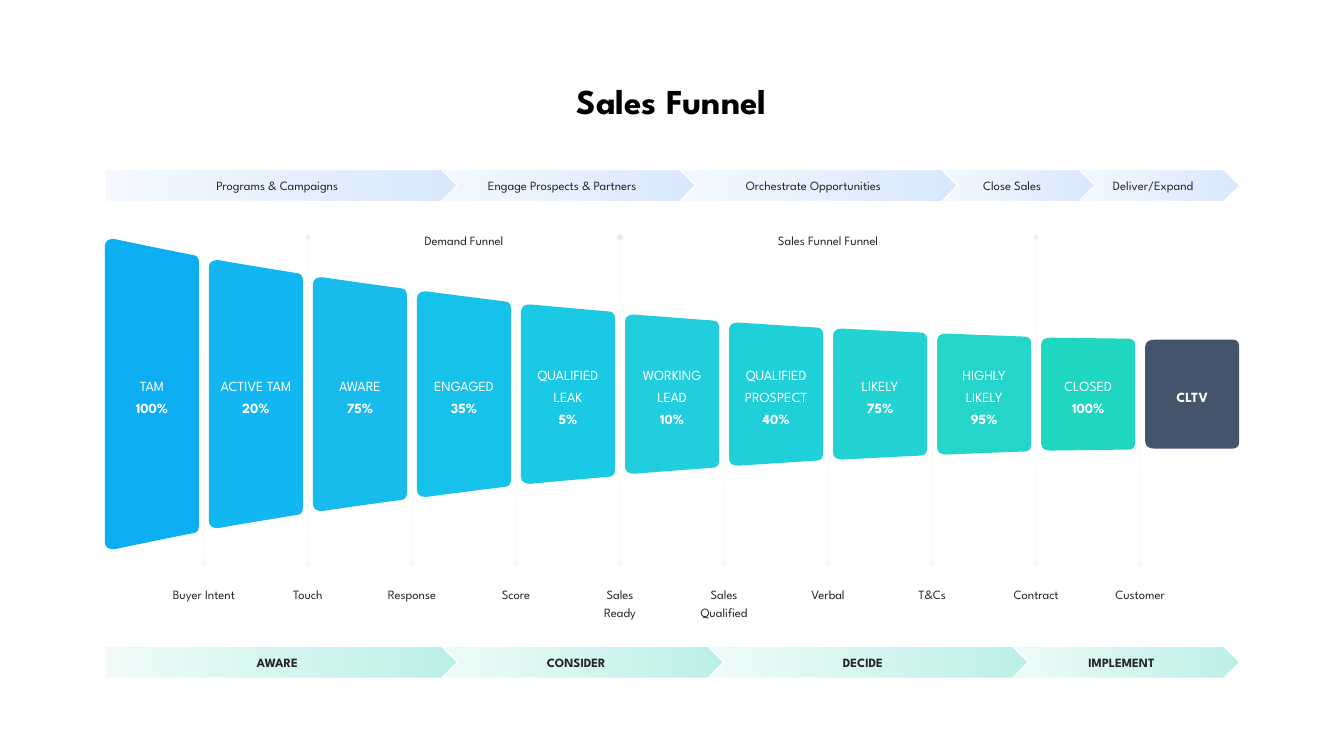
from dataclasses import dataclass

from lxml.etree import SubElement
from pptx import Presentation
from pptx.dml.color import RGBColor
from pptx.enum.shapes import MSO_CONNECTOR, MSO_SHAPE
from pptx.enum.text import MSO_ANCHOR, PP_ALIGN
from pptx.oxml.ns import qn
from pptx.util import Inches, Pt

# Grid: eleven funnel columns, rows of a tenth of an inch
SLIDE_WIDTH, SLIDE_HEIGHT = 13.33, 7.5
LEFT, RIGHT, GAP = 1.04, 12.29, 0.1
COLUMN = (RIGHT - LEFT + GAP) / 11
ROW = SLIDE_HEIGHT / 75
MIDDLE_ROW = 39.1
FONT, INK, WHITE, SLATE = "League Spartan", "262626", "FFFFFF", "44546A"


@dataclass
class Stage:
    name: str
    share: str
    left_top: float  # rows
    right_top: float
    color: str


@dataclass
class Arrow:
    name: str
    start: float  # columns
    end: float


@dataclass
class Milestone:
    name: str
    width: float = 0.9  # columns


@dataclass
class Bracket:
    name: str
    start: int  # columns
    end: int
    arm: float


STAGES = [
    Stage("TAM", "100%", 23.7, 25.3, "0DADF1"),
    Stage("ACTIVE TAM", "20%", 25.8, 27.1, "12B6F0"),
    Stage("AWARE", "75%", 27.5, 28.6, "17BCED"),
    Stage("ENGAGED", "35%", 28.9, 29.9, "16C2EA"),
    Stage("QUALIFIED LEAK", "5%", 30.2, 30.9, "1AC9E4"),
    Stage("WORKING LEAD", "10%", 31.2, 31.8, "22CDDE"),
    Stage("QUALIFIED PROSPECT", "40%", 32, 32.5, "1FD0D9"),
    Stage("LIKELY", "75%", 32.6, 33, "23D2D3"),
    Stage("HIGHLY LIKELY", "95%", 33.1, 33.4, "26D5C9"),
    Stage("CLOSED", "100%", 33.5, 33.6, "1FD6C0"),
    Stage("", "CLTV", 33.7, 33.7, SLATE),
]
MILESTONES = [
    Milestone("Buyer Intent", 0.96), Milestone("Touch"), Milestone("Response"),
    Milestone("Score"), Milestone("Sales Ready", 0.78), Milestone("Sales Qualified"),
    Milestone("Verbal"), Milestone("T&Cs"), Milestone("Contract"), Milestone("Customer"),
]
BRACKETS = [Bracket("Demand Funnel", 2, 5, 0.62), Bracket("Sales Funnel Funnel", 5, 9, 0.82)]
ACTIVITIES = [
    Arrow("Programs & Campaigns", 0, 3.39),
    Arrow("Engage Prospects & Partners", 3.19, 5.68),
    Arrow("Orchestrate Opportunities", 5.5, 8.2),
    Arrow("Close Sales", 8, 9.52),
    Arrow("Deliver/Expand", 9.32, 10.91),
]
PHASES = [
    Arrow("AWARE", 0, 3.39), Arrow("CONSIDER", 3.19, 5.95),
    Arrow("DECIDE", 5.77, 8.88), Arrow("IMPLEMENT", 8.71, 10.91),
]


def color_of(code: str) -> RGBColor:
    return RGBColor.from_string(code)


def column(number: float) -> int:
    return Inches(LEFT + number * COLUMN)


def divider(number: float) -> int:
    return column(number) - Inches(GAP / 2)


def row(number: float) -> int:
    return Inches(number * ROW)


def set_opacity(shape, percent: int) -> None:
    """Fade the first colour of a shape."""
    color = next(shape.element.iter(qn("a:srgbClr")))
    SubElement(color, qn("a:alpha")).set("val", str(percent * 1000))


def write(shape, lines: list[str], size: float, color: str, spacing: float | None = None,
          bold_last: bool = False) -> None:
    frame = shape.text_frame
    frame.word_wrap = True
    frame.text = "\n".join(lines)
    for para in frame.paragraphs:
        para.alignment = PP_ALIGN.CENTER
        if spacing:
            para.line_spacing = Pt(spacing)
        for span in para.runs:
            span.font.name, span.font.size = FONT, Pt(size)
            span.font.color.rgb = color_of(color)
            span.font.bold = bold_last and para.text == lines[-1]


def add_label(page, text: str, center: int, top: float, width: float) -> None:
    span = Inches(width * COLUMN)
    box = page.shapes.add_textbox(center - span // 2, row(top), span, row(2.6))
    write(box, [text], 9, INK, spacing=13)


def add_dotted_end(page, x1: int, y1: int, x2: int, y2: int) -> None:
    line = page.shapes.add_connector(MSO_CONNECTOR.STRAIGHT, x1, y1, x2, y2)
    line.line.color.rgb = color_of(SLATE)
    line.line.width = Pt(0.5)
    set_opacity(line, 4)
    outline = next(line.element.iter(qn("a:ln")))
    SubElement(outline, qn("a:tailEnd"), {"type": "oval", "w": "sm", "len": "sm"})
    SubElement(line.element.spPr, qn("a:effectLst"))


def build_panel(page, x: float, high: float, low: float):
    """A tapering panel with rounded corners, mirrored about the middle row."""
    right, middle = x + COLUMN - GAP, MIDDLE_ROW * ROW
    slope = (low - high) / 3
    top = [(x, high + 0.07), (x, high + 0.02), (x + 0.04, high), (x + 0.09, high),
           (x + 0.34, high + slope), (x + 0.6, high + 2 * slope), (right - 0.06, low),
           (right - 0.02, low), (right, low + 0.03), (right, low + 0.07)]
    bottom = [(px, 2 * middle - py) for px, py in reversed(top)]
    frame = [(x, high), (right, high), (right, 2 * middle - high), (x, 2 * middle - high)]
    corners = [(Inches(px), Inches(py)) for px, py in frame]
    builder = page.shapes.build_freeform(*corners[0])
    builder.add_line_segments(corners[1:], close=True)
    panel = builder.convert_to_shape()
    track = next(panel.element.iter(qn("a:path")))
    for child in list(track):
        track.remove(child)
    for side, first in ((top, "a:moveTo"), (bottom, "a:lnTo")):
        moves = [(first, side[:1])]
        moves += [("a:cubicBezTo", side[start:start + 3]) for start in (1, 4, 7)]
        for tag, points in moves:
            move = SubElement(track, qn(tag))
            for px, py in points:
                SubElement(move, qn("a:pt"), {"x": str(Inches(px) - panel.left),
                                              "y": str(Inches(py) - panel.top)})
    SubElement(track, qn("a:close"))
    return panel


def add_stage(page, stage: Stage, index: int) -> None:
    panel = build_panel(page, LEFT + index * COLUMN, stage.left_top * ROW, stage.right_top * ROW)
    panel.shadow.inherit = False
    panel.fill.solid()
    panel.fill.fore_color.rgb = color_of(stage.color)
    panel.line.fill.background()
    frame = panel.text_frame
    frame.vertical_anchor = MSO_ANCHOR.MIDDLE
    frame.margin_left = frame.margin_right = Inches(0.08)
    write(panel, [text for text in (stage.name, stage.share) if text], 10, WHITE, 16, True)


def add_arrows(page, arrows: list[Arrow], top: float, color: str, fade: int, bold: bool) -> None:
    for arrow in reversed(arrows):
        left = column(arrow.start)
        shape = page.shapes.add_shape(MSO_SHAPE.PENTAGON, left, row(top),
                                      column(arrow.end) - left, row(3.2))
        shape.shadow.inherit = False
        shape.fill.gradient()
        shape.fill.gradient_angle = 0
        for stop, position in zip(shape.fill.gradient_stops, (0, 1)):
            stop.color.rgb = color_of(color)
            stop.position = position
        set_opacity(shape, fade)
        shape.line.color.rgb = color_of(WHITE)
        shape.line.width = Pt(1)
        shape.text_frame.vertical_anchor = MSO_ANCHOR.MIDDLE
        write(shape, [arrow.name], 9, INK, bold_last=bold)


def main() -> None:
    deck = Presentation()
    deck.slide_width, deck.slide_height = Inches(SLIDE_WIDTH), Inches(SLIDE_HEIGHT)
    page = deck.slides.add_slide(deck.slide_layouts[6])

    # Funnel
    for index, stage in enumerate(STAGES):
        add_stage(page, stage, index)

    # Milestones between the stages
    for number, milestone in enumerate(MILESTONES, start=1):
        x = divider(number)
        add_dotted_end(page, x, row(35), x, row(55.9))
        add_label(page, milestone.name, x, 57.4, milestone.width)

    # Brackets above the funnel
    for number in (2, 5, 9):
        add_dotted_end(page, divider(number), row(36.1), divider(number), row(23.6))
    for bracket in BRACKETS:
        for edge, inner in ((bracket.start, bracket.start + bracket.arm),
                            (bracket.end, bracket.end - bracket.arm)):
            add_dotted_end(page, divider(inner), row(23.5), divider(edge), row(23.5))
        add_label(page, bracket.name, divider((bracket.start + bracket.end) / 2), 22.3, 1.4)

    # Arrow bands
    add_arrows(page, ACTIVITIES, 16.8, "D9E9FF", 25, False)
    add_arrows(page, PHASES, 64.1, "BBF1E7", 20, True)

    # Title
    title = page.shapes.add_textbox(Inches(5.52), row(7.4), Inches(2.28), row(5.2))
    write(title, ["Sales Funnel"], 25, "000000", bold_last=True)

    deck.save("out.pptx")


if __name__ == "__main__":
    main()
